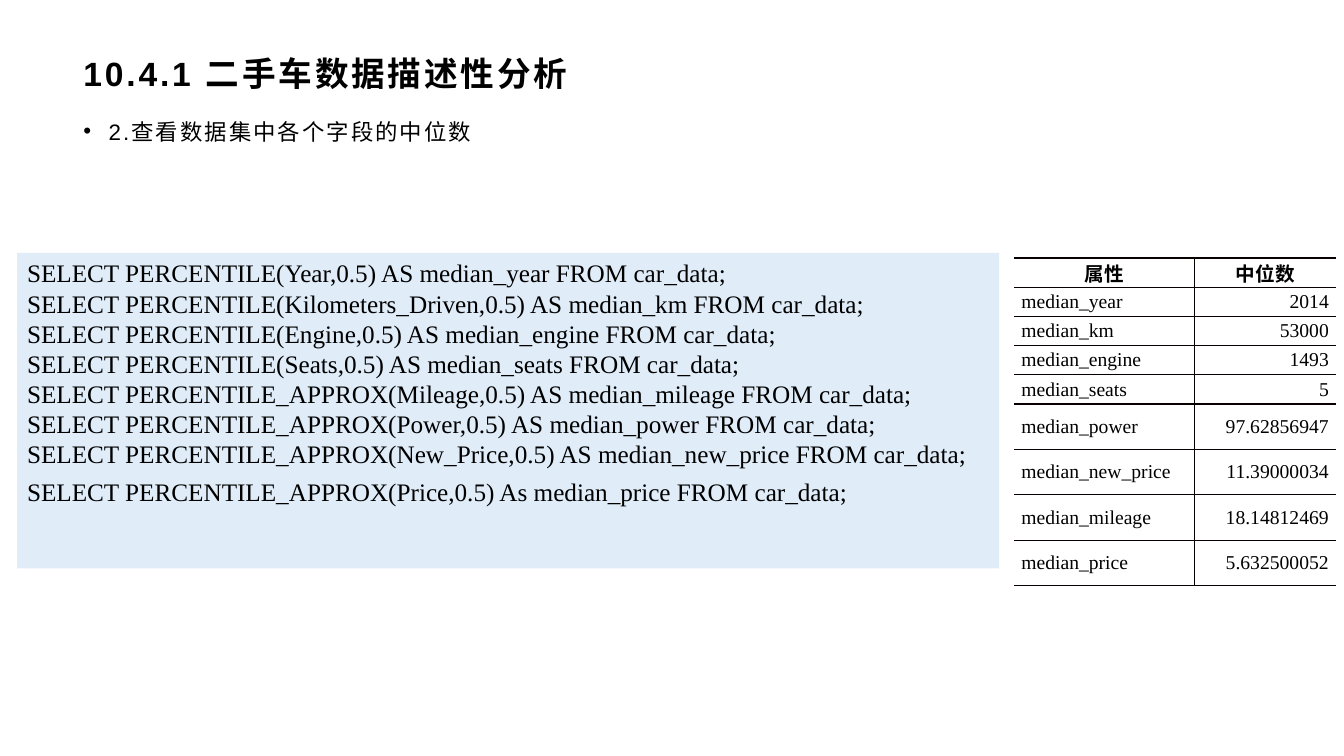
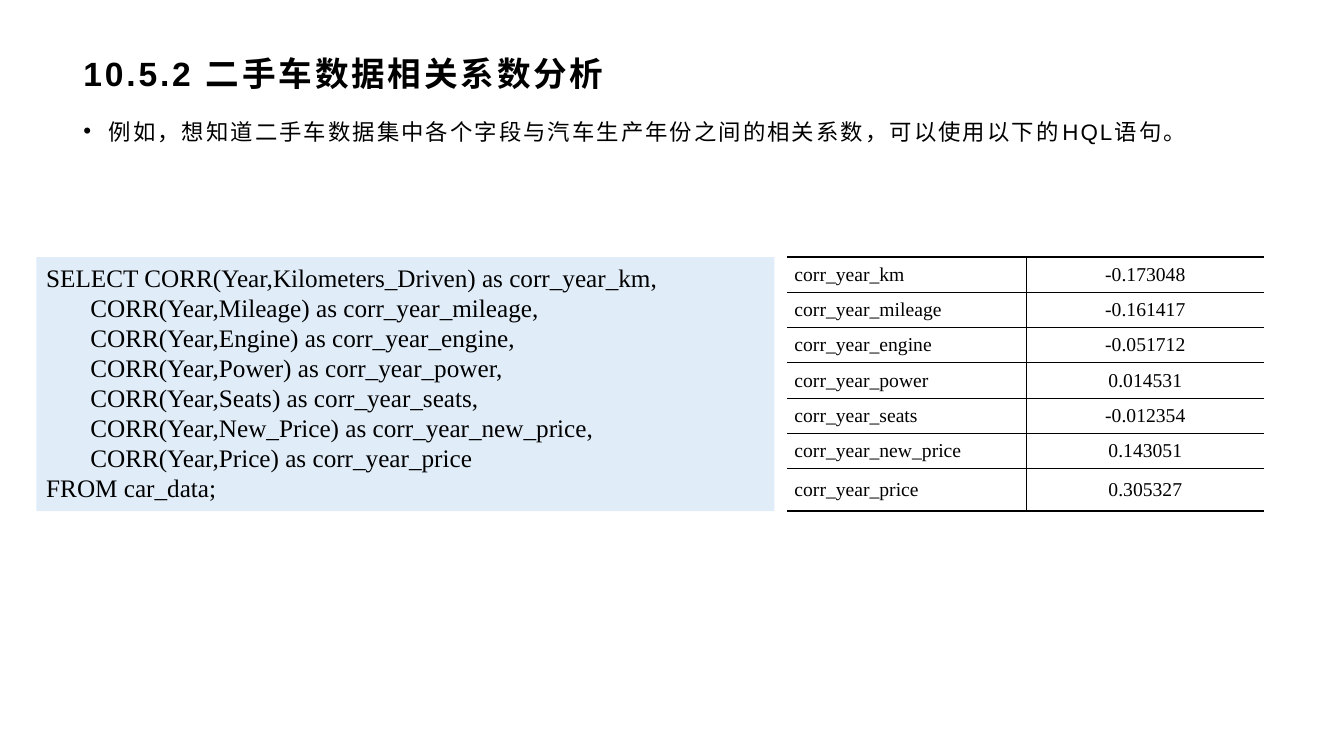
from lxml import etree
from pptx import Presentation
from pptx import util as u
from pptx.dml.color import RGBColor
from pptx.enum import shapes, text
from pptx.oxml import ns

PX = 9144  # EMU in one px, at 100 px to the inch
BLACK = RGBColor(0x00, 0x00, 0x00)
WHITE = RGBColor(0xFF, 0xFF, 0xFF)
RULE_DARK = RGBColor(0x08, 0x00, 0x00)
CODE_FILL = RGBColor(0xE0, 0xED, 0xF9)
SANS, SERIF = "Arial", "Times New Roman"
LEFT, CENTER, RIGHT = text.PP_ALIGN.LEFT, text.PP_ALIGN.CENTER, text.PP_ALIGN.RIGHT
CODE_LINE = u.Pt(21.5)

MEDIAN_CODE = [
    "SELECT PERCENTILE(Year,0.5) AS median_year FROM car_data;",
    "SELECT PERCENTILE(Kilometers_Driven,0.5) AS median_km FROM car_data;",
    "SELECT PERCENTILE(Engine,0.5) AS median_engine FROM car_data;",
    "SELECT PERCENTILE(Seats,0.5) AS median_seats FROM car_data;",
    "SELECT PERCENTILE_APPROX(Mileage,0.5) AS median_mileage FROM car_data;",
    "SELECT PERCENTILE_APPROX(Power,0.5) AS median_power FROM car_data;",
    "SELECT PERCENTILE_APPROX(New_Price,0.5) AS median_new_price FROM car_data;",
    "SELECT PERCENTILE_APPROX(Price,0.5) As median_price FROM car_data;",
]
MEDIAN_ROWS = [
    ("属性", "中位数"),
    ("median_year", "2014"),
    ("median_km", "53000"),
    ("median_engine", "1493"),
    ("median_seats", "5"),
    ("median_power", "97.62856947"),
    ("median_new_price", "11.39000034"),
    ("median_mileage", "18.14812469"),
    ("median_price", "5.632500052"),
]
CORR_CODE = [
    "SELECT CORR(Year,Kilometers_Driven) as corr_year_km,",
    "       CORR(Year,Mileage) as corr_year_mileage,",
    "       CORR(Year,Engine) as corr_year_engine,",
    "       CORR(Year,Power) as corr_year_power,",
    "       CORR(Year,Seats) as corr_year_seats,",
    "       CORR(Year,New_Price) as corr_year_new_price,",
    "       CORR(Year,Price) as corr_year_price",
    "FROM car_data;",
]
CORR_ROWS = [
    ("corr_year_km", "-0.173048"),
    ("corr_year_mileage", "-0.161417"),
    ("corr_year_engine", "-0.051712"),
    ("corr_year_power", "0.014531"),
    ("corr_year_seats", "-0.012354"),
    ("corr_year_new_price", "0.143051"),
    ("corr_year_price", "0.305327"),
]


def px(*lengths):
    return [u.Emu(length * PX) for length in lengths]


def write(frame, lines, *, font=SERIF, size=14, bold=False, align=LEFT,
          spacing=0, line_spacing=None, space_after=None, bullet=False):
    """Fill a text frame, one paragraph for each line."""
    frame.word_wrap = True
    for index, line in enumerate(lines):
        paragraph = frame.paragraphs[0] if index == 0 else frame.add_paragraph()
        paragraph.alignment = align
        paragraph.line_spacing = line_spacing
        paragraph.space_after = space_after
        if bullet:
            properties = paragraph._p.get_or_add_pPr()
            properties.set("marL", str(25 * PX))
            properties.set("indent", str(-25 * PX))
            etree.SubElement(properties, ns.qn("a:buFont")).set("typeface", SANS)
            etree.SubElement(properties, ns.qn("a:buChar")).set("char", "•")
        run = paragraph.add_run()
        run.text = line
        run.font.name = font
        run.font.size = u.Pt(size)
        run.font.bold = bold
        run.font.color.rgb = BLACK
        if spacing:
            run._r.get_or_add_rPr().set("spc", str(int(spacing * 100)))


def add_text_box(slide, box, line, anchor, **style):
    frame = slide.shapes.add_textbox(*px(*box)).text_frame
    frame.vertical_anchor = anchor
    write(frame, [line], font=SANS, **style)


def add_page(presentation, title, point):
    """Add a slide with the shared title and bullet."""
    slide = presentation.slides.add_slide(presentation.slide_layouts[6])
    slide.background.fill.solid()
    slide.background.fill.fore_color.rgb = WHITE
    add_text_box(slide, (73, 48, 1187, 48), title, text.MSO_ANCHOR.MIDDLE,
                 size=24, bold=True, spacing=2)
    add_text_box(slide, (73, 104, 1187, 589), point, text.MSO_ANCHOR.TOP,
                 size=16, spacing=1.5, line_spacing=1.3,
                 space_after=u.Pt(10), bullet=True)
    return slide


def add_code(slide, box, lines):
    shape = slide.shapes.add_shape(shapes.MSO_SHAPE.RECTANGLE, *px(*box))
    shape.shadow.inherit = False
    shape.fill.solid()
    shape.fill.fore_color.rgb = CODE_FILL
    shape.line.fill.background()
    shape.text_frame.vertical_anchor = text.MSO_ANCHOR.TOP
    write(shape.text_frame, lines, size=18, line_spacing=CODE_LINE)
    return shape


def set_border(cell, side, color, width):
    """Draw one side (L, R, T or B); no width means no line."""
    line = etree.SubElement(cell._tc.get_or_add_tcPr(), ns.qn("a:ln" + side))
    line.set("w", str(u.Pt(width)))
    if width:
        fill = etree.SubElement(line, ns.qn("a:solidFill"))
        etree.SubElement(fill, ns.qn("a:srgbClr")).set("val", str(color))
    else:
        etree.SubElement(line, ns.qn("a:noFill"))


def add_table(slide, position, widths, heights, rows, *, value_align,
              rule_color=BLACK, edge=1, header=False):
    """Add a table ruled inside, above and below, with open sides."""
    size = (sum(widths), sum(heights))
    table = slide.shapes.add_table(len(rows), len(widths), *px(*position, *size)).table
    table.first_row = header
    table.horz_banding = False
    for column, width in zip(table.columns, px(*widths)):
        column.width = width
    last_row, last_column = len(rows) - 1, len(widths) - 1
    for r, (row, height) in enumerate(zip(rows, px(*heights))):
        table.rows[r].height = height
        is_header = header and r == 0
        for c, value in enumerate(row):
            cell = table.cell(r, c)
            cell.margin_left, cell.margin_right = px(7, 7)
            cell.margin_top = cell.margin_bottom = 0
            cell.vertical_anchor = text.MSO_ANCHOR.MIDDLE
            borders = {"L": 1 if c > 0 else 0,
                       "R": 1 if c < last_column else 0,
                       "T": 1 if r > 0 else edge,
                       "B": 1 if r < last_row else edge}
            for side, line_width in borders.items():
                set_border(cell, side, rule_color, line_width)
            cell.fill.background()
            align = CENTER if is_header else (LEFT, value_align)[c]
            write(cell.text_frame, [value], bold=is_header, align=align)


def main():
    presentation = Presentation()
    presentation.slide_width, presentation.slide_height = px(1333, 750)

    # Medians
    slide = add_page(presentation, "10.4.1 二手车数据描述性分析",
                     "2.查看数据集中各个字段的中位数")
    code = add_code(slide, (17, 251, 974, 313), MEDIAN_CODE)
    code.text_frame.paragraphs[-1].line_spacing = u.Pt(27)
    add_table(slide, (1006, 256), (179, 140), [29] * 5 + [45] * 4, MEDIAN_ROWS,
              value_align=RIGHT, rule_color=RULE_DARK, header=True)

    # Correlations
    slide = add_page(presentation, "10.5.2 二手车数据相关系数分析",
                     "例如，想知道二手车数据集中各个字段与汽车生产年份之间的相关系数，"
                     "可以使用以下的HQL语句。")
    add_code(slide, (36, 255, 732, 252), CORR_CODE)
    add_table(slide, (781, 255), (237, 236), [35] * 6 + [42], CORR_ROWS,
              value_align=CENTER, edge=1.5)

    presentation.save("out.pptx")


if __name__ == "__main__":
    main()
